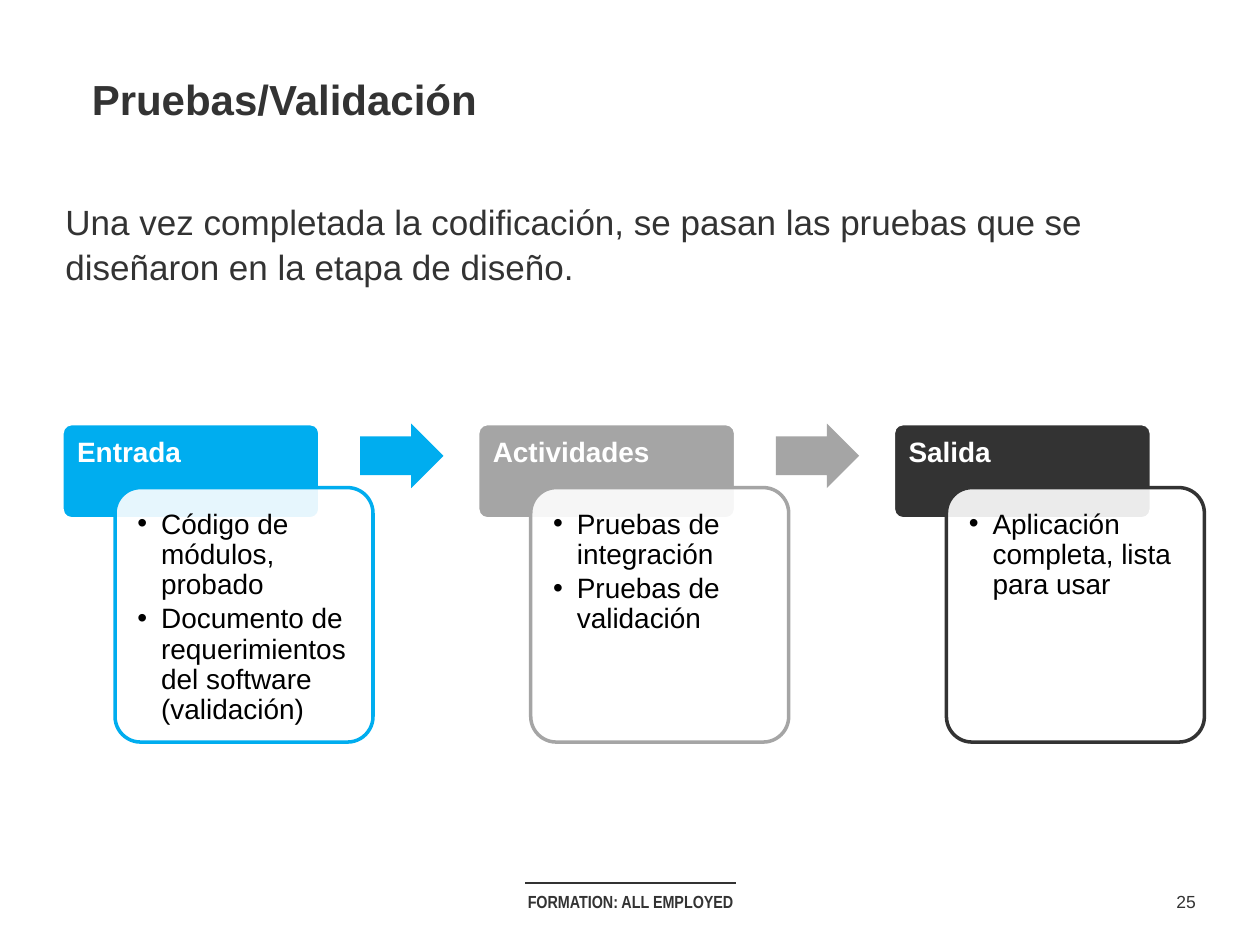
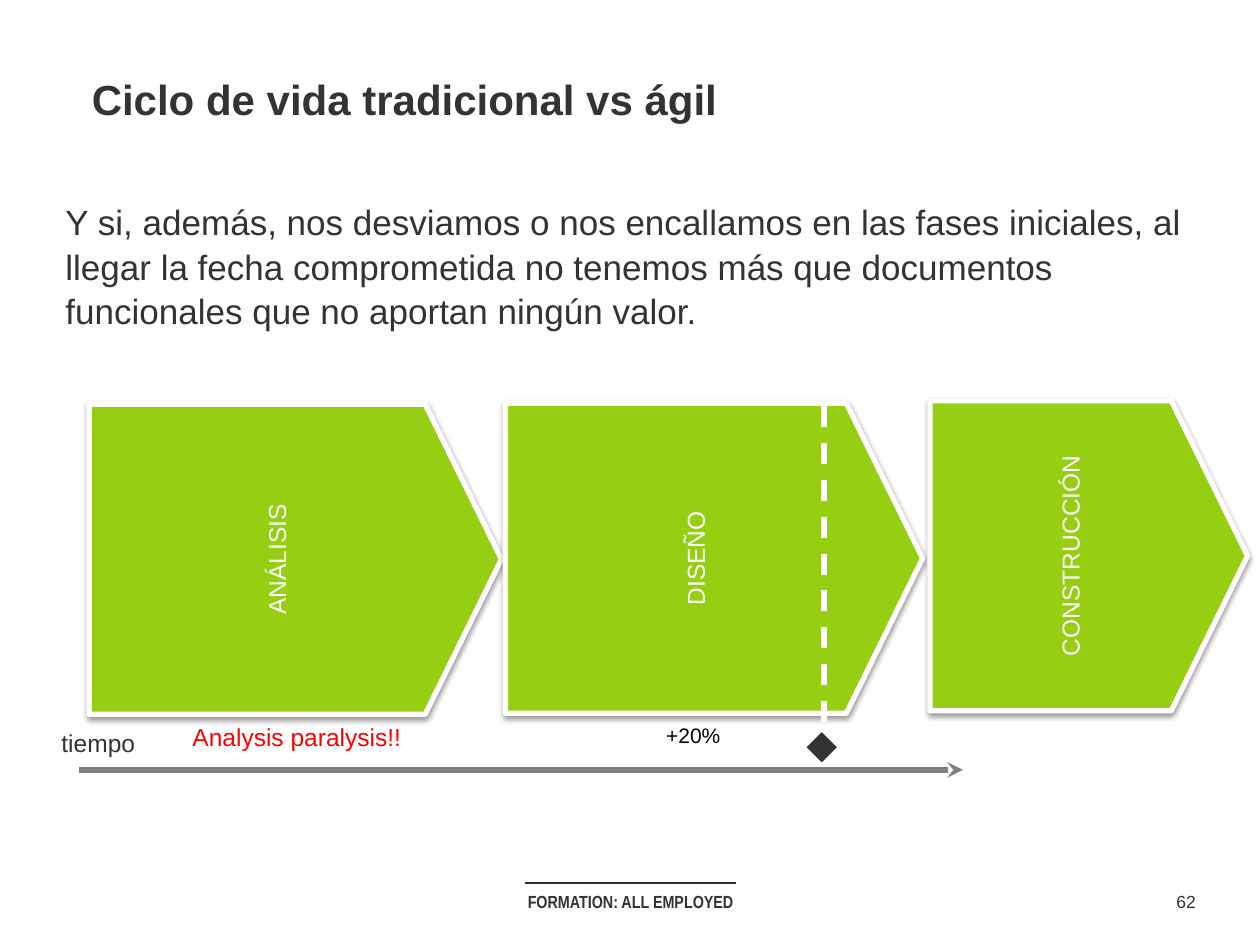
from lxml import etree
from pptx import Presentation
from pptx import util as u
from pptx.dml.color import RGBColor
from pptx.enum import dml, shapes, text
from pptx.oxml import ns
from pptx.util import Cm, Pt

DARK = RGBColor(0x33, 0x33, 0x33)
BLUE = RGBColor(0x00, 0xAD, 0xEF)
GREY = RGBColor(0xA5, 0xA5, 0xA5)
TIMELINE_GREY = RGBColor(0x7F, 0x7F, 0x7F)
GREEN = RGBColor(0x96, 0xCF, 0x12)
RED = RGBColor(0xFF, 0x00, 0x00)
WHITE = RGBColor(0xFF, 0xFF, 0xFF)
BLACK = RGBColor(0x00, 0x00, 0x00)

LEFT = text.PP_ALIGN.LEFT
CENTER = text.PP_ALIGN.CENTER
TOP = text.MSO_ANCHOR.TOP
MIDDLE = text.MSO_ANCHOR.MIDDLE


def write(shape, content, size, color, bold=False, align=LEFT, anchor=TOP,
          insets=(0.25, 0.13, 0.25, 0.13), spacing=1.0, wrap=True, font="Arial"):
    """Fill a shape with text; insets are left, top, right, bottom in cm."""
    frame = shape.text_frame
    frame.text = content
    frame.word_wrap = wrap
    frame.auto_size = text.MSO_AUTO_SIZE.NONE
    frame.vertical_anchor = anchor
    (frame.margin_left, frame.margin_top,
     frame.margin_right, frame.margin_bottom) = [Cm(inset) for inset in insets]
    for paragraph in frame.paragraphs:
        paragraph.alignment = align
        paragraph.line_spacing = spacing
        for run in paragraph.runs:
            run.font.name = font
            run.font.size = Pt(size)
            run.font.bold = bold
            run.font.color.rgb = color


def add_shape(slide, kind, box, fill, line=None, width=2, adjustments=()):
    """Add a flat preset shape; box is left, top, width, height in cm."""
    shape = slide.shapes.add_shape(kind, *[Cm(length) for length in box])
    shape.shadow.inherit = False
    shape.fill.solid()
    shape.fill.fore_color.rgb = fill
    if line is None:
        shape.line.fill.background()
    else:
        shape.line.color.rgb = line
        shape.line.width = Pt(width)
    for index, value in enumerate(adjustments):
        shape.adjustments[index] = value
    return shape


presentation = Presentation()
presentation.slide_width = Cm(25.4)
presentation.slide_height = Cm(19.05)

# Shared parts: title, introduction, footer and page number
pages = [
    ("Pruebas/Validación",
     "Una vez completada la codificación, se pasan las pruebas que se "
     "diseñaron en la etapa de diseño.", 1.96, "25"),
    ("Ciclo de vida tradicional vs ágil",
     "Y si, además, nos desviamos o nos encallamos en las fases iniciales, al "
     "llegar la fecha comprometida no tenemos más que documentos funcionales "
     "que no aportan ningún valor.", 2.82, "62"),
]
lines = []
for title, introduction, height, number in pages:
    slide = presentation.slides.add_slide(presentation.slide_layouts[5])
    heading = slide.shapes.title
    heading.left, heading.top = Cm(1.6), Cm(1.23)
    heading.width, heading.height = Cm(22.22), Cm(1.55)
    write(heading, title, 24, DARK, bold=True, insets=(0.25,) * 4)

    body = slide.shapes.add_textbox(Cm(1.07), Cm(3.88), Cm(23.65), Cm(height))
    write(body, introduction, 20, DARK, spacing=1.05)

    footer = slide.shapes.add_textbox(Cm(9.32), Cm(17.83), Cm(6.78), Cm(0.69))
    write(footer, "FORMATION: ALL EMPLOYED", 10, DARK, bold=True, align=CENTER,
          font="Arial Narrow")
    page_number = slide.shapes.add_textbox(Cm(23.44), Cm(17.83), Cm(0.94), Cm(0.69))
    write(page_number, number, 10, DARK, align=CENTER, wrap=False)
    lines.append((slide, (10.59, 17.8), (14.83, 17.8), DARK, 0.75))

validation_slide, lifecycle_slide = presentation.slides

# Validation: three stages with their details, joined by arrows
stages = [
    ("Entrada", BLUE, ["Código de módulos, probado",
                       "Documento de requerimientos del software (validación)"]),
    ("Actividades", GREY, ["Pruebas de integración", "Pruebas de validación"]),
    ("Salida", DARK, ["Aplicación completa, lista para usar"]),
]
for index, (name, color, details) in enumerate(stages):
    left = 1.25 + index * 8.38
    header = add_shape(validation_slide, shapes.MSO_SHAPE.ROUNDED_RECTANGLE,
                       (left, 8.54, 5.2, 1.92), color, WHITE, adjustments=[0.1])
    write(header, name, 16, WHITE, bold=True, spacing=0.9,
          insets=(0.25, 0.25, 0.25, 0.18))

    card = add_shape(validation_slide, shapes.MSO_SHAPE.ROUNDED_RECTANGLE,
                     (left + 1.07, 9.83, 5.2, 5.13), WHITE, color, adjustments=[0.1])
    card_color = card.element.spPr.find(ns.qn("a:solidFill"))[0]
    etree.SubElement(card_color, ns.qn("a:alpha"), val="90000")
    write(card, "\n".join(details), 16, BLACK, spacing=0.9, insets=(0.3,) * 4)
    for position, paragraph in enumerate(card.text_frame.paragraphs):
        if position:
            paragraph.space_before = Pt(2.4)
        properties = paragraph._p.get_or_add_pPr()
        properties.set("marL", str(Cm(0.48)))
        properties.set("indent", str(-Cm(0.48)))
        etree.SubElement(properties, ns.qn("a:buFont"), typeface="Arial")
        etree.SubElement(properties, ns.qn("a:buChar"), char="•")

    if index < len(stages) - 1:
        add_shape(validation_slide, shapes.MSO_SHAPE.RIGHT_ARROW,
                  (left + 6.01, 8.54, 1.68, 1.3), color, adjustments=[0.6, 0.5])

# Life cycle: phases with upright labels and a soft shadow
phases = [
    ("ANÁLISIS", 1.8, 8.15, 8.31),
    ("DISEÑO", 10.19, 8.13, 8.41),
    ("CONSTRUCCIÓN", 18.75, 8.08, 6.4),
]
for name, left, top, width in phases:
    phase = add_shape(lifecycle_slide, shapes.MSO_SHAPE.PENTAGON,
                      (left, top, width, 6.25), GREEN, WHITE, 3, [0.246])
    write(phase, name, 14, WHITE, align=CENTER, anchor=MIDDLE)
    phase.text_frame._txBody.bodyPr.set("vert", "vert270")
    effects = phase.element.spPr.find(ns.qn("a:effectLst"))
    shadow = etree.SubElement(effects, ns.qn("a:outerShdw"), blurRad=str(Pt(3.1)),
                              dist=str(Pt(1.6)), dir="5400000", rotWithShape="0")
    shadow_color = etree.SubElement(shadow, ns.qn("a:srgbClr"), val="000000")
    etree.SubElement(shadow_color, ns.qn("a:alpha"), val="38000")

# Life cycle: time axis, deadline and notes
add_shape(lifecycle_slide, shapes.MSO_SHAPE.DIAMOND, (16.26, 14.76, 0.61, 0.61), DARK)
notes = [
    ("tiempo", 0.99, 14.55, 2.01, 14, DARK),
    ("+20%", 13.18, 14.43, 1.6, 12, BLACK),
    ("Analysis paralysis!!", 3.63, 14.43, 4.88, 14, RED),
]
for content, left, top, width, size, color in notes:
    note = lifecycle_slide.shapes.add_textbox(Cm(left), Cm(top), Cm(width), Cm(0.86))
    write(note, content, size, color, wrap=False)
lines.append((lifecycle_slide, (1.6, 15.52), (19.41, 15.52), TIMELINE_GREY, 3))
lines.append((lifecycle_slide, (16.61, 14.55), (16.61, 7.95), WHITE, 3))

# Lines of both slides
connectors = []
for slide, start, end, color, width in lines:
    connector = slide.shapes.add_connector(
        shapes.MSO_CONNECTOR.STRAIGHT, *[u.Cm(length) for length in start + end])
    connector.line.color.rgb = color
    connector.line.width = Pt(width)
    etree.SubElement(connector.element.spPr, ns.qn("a:effectLst"))
    connectors.append(connector)
time_axis, deadline = connectors[-2:]
etree.SubElement(time_axis.line._get_or_add_ln(), ns.qn("a:tailEnd"), type="stealth")
deadline.line.dash_style = dml.MSO_LINE.DASH

presentation.save("out.pptx")
